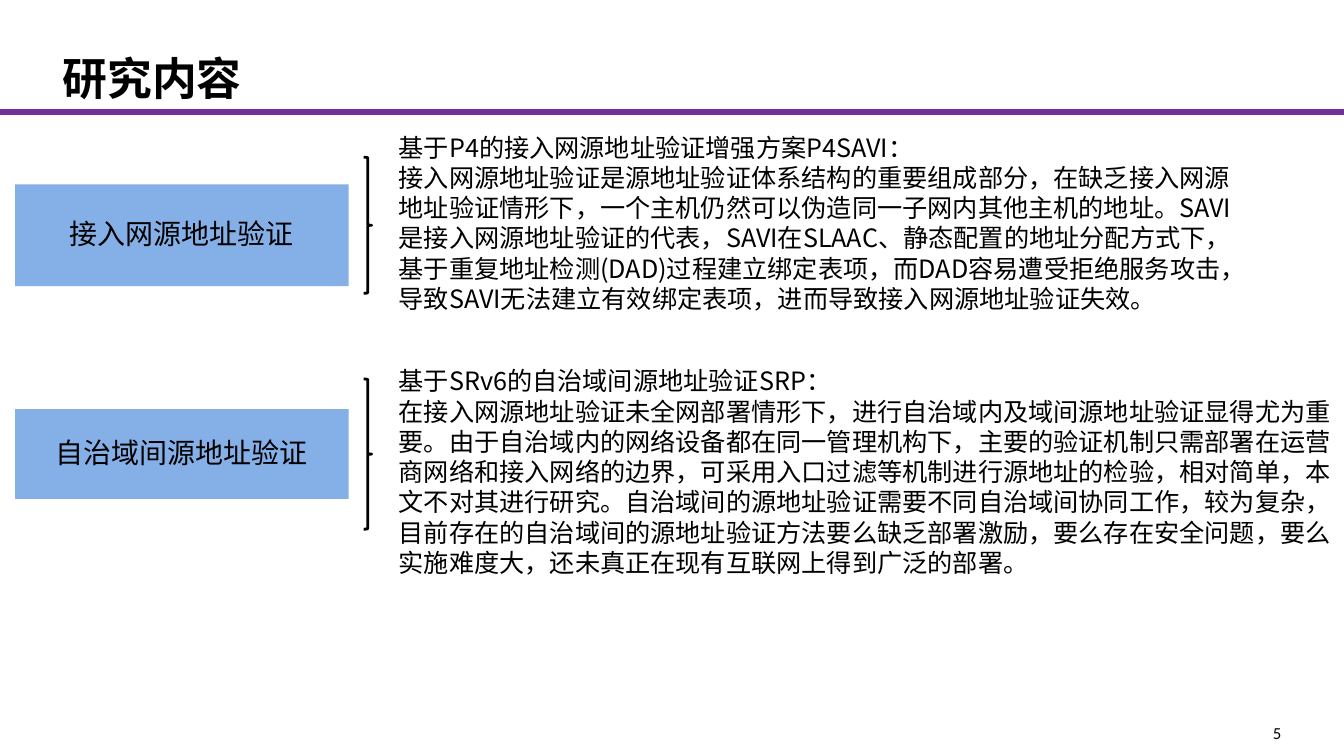
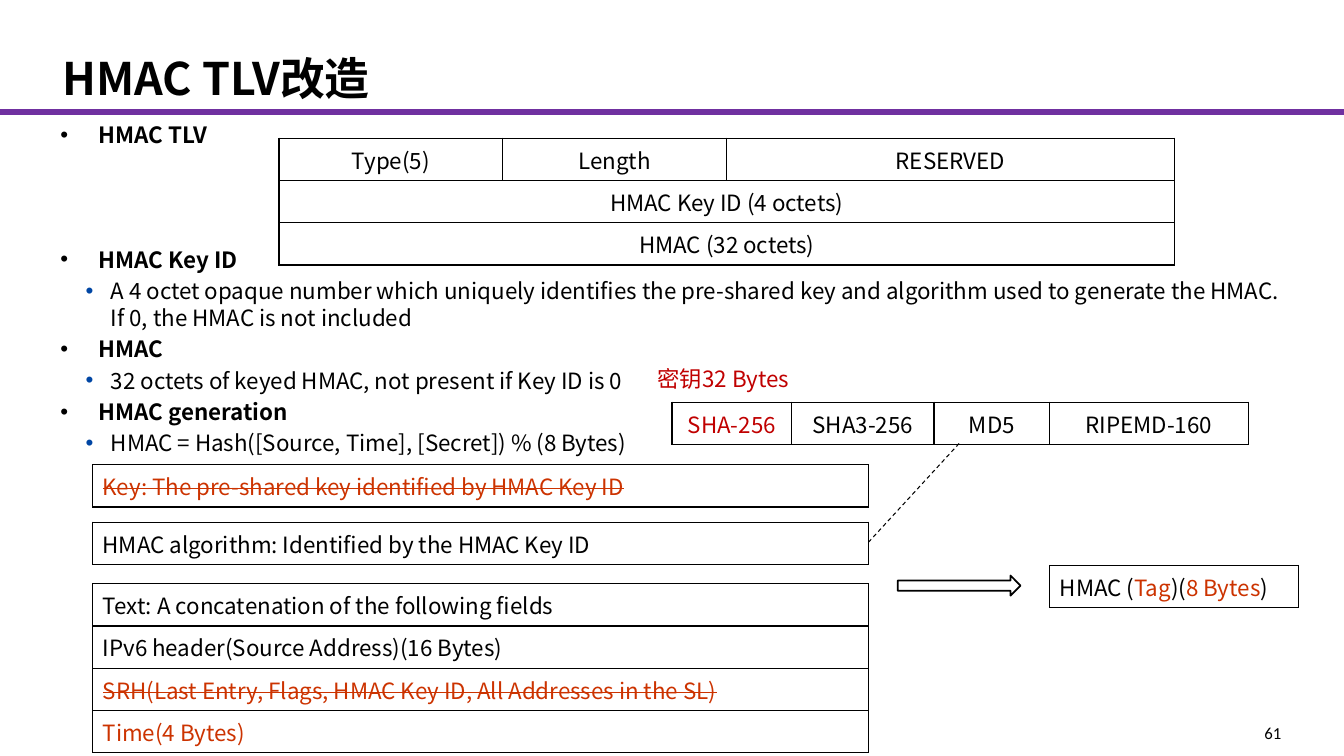
from lxml import etree
from pptx import Presentation
from pptx.dml.color import RGBColor
from pptx.enum.dml import MSO_LINE
from pptx.enum.shapes import MSO_CONNECTOR, MSO_SHAPE
from pptx.enum.text import MSO_ANCHOR as ANCHOR, PP_ALIGN as ALIGN
from pptx.oxml import parse_xml
from pptx.oxml.ns import nsdecls, qn
from pptx.util import Inches, Pt

FONT = "Noto Sans CJK SC"
BLACK, WHITE, PURPLE, BLUE = "000000", "FFFFFF", "7030A0", "85AFE7"
RED, ORANGE, BULLET_BLUE = "C00000", "CC3300", "0046A4"
ROW_H = 0.42

# label, label top and height, brace top and height, text top and width, paragraphs
TOPICS = [
    ("接入网源地址验证", (1.83, 1.01), (1.56, 1.35), (1.26, 8.5), [
        "基于P4的接入网源地址验证增强方案P4SAVI：",
        "接入网源地址验证是源地址验证体系结构的重要组成部分，在缺乏接入网源地址验证情形下，"
        "一个主机仍然可以伪造同一子网内其他主机的地址。SAVI是接入网源地址验证的代表，"
        "SAVI在SLAAC、静态配置的地址分配方式下，基于重复地址检测(DAD)过程建立绑定表项，"
        "而DAD容易遭受拒绝服务攻击，导致SAVI无法建立有效绑定表项，"
        "进而导致接入网源地址验证失效。"]),
    ("自治域间源地址验证", (4.06, 0.89), (3.76, 1.49), (3.58, 9.54), [
        "基于SRv6的自治域间源地址验证SRP：",
        "在接入网源地址验证未全网部署情形下，进行自治域内及域间源地址验证显得尤为重要。"
        "由于自治域内的网络设备都在同一管理机构下，主要的验证机制只需部署在运营商网络和接入网络的边界，"
        "可采用入口过滤等机制进行源地址的检验，相对简单，本文不对其进行研究。"
        "自治域间的源地址验证需要不同自治域间协同工作，较为复杂，"
        "目前存在的自治域间的源地址验证方法要么缺乏部署激励，要么存在安全问题，"
        "要么实施难度大，还未真正在现有互联网上得到广泛的部署。"]),
]

# level, text, points before
BULLETS = [
    (0, "HMAC TLV", 0),
    (0, "HMAC Key ID", 70),
    (1, "A 4 octet opaque number which uniquely identifies the pre-shared key and "
        "algorithm used to generate the HMAC. If 0, the HMAC is not included", 3.2),
    (0, "HMAC", 3.2),
    (1, "32 octets of keyed HMAC, not present if Key ID is 0", 3.2),
    (0, "HMAC generation", 3.2),
    (1, "HMAC = Hash([Source, Time], [Secret]) % (8 Bytes)", 3.2),
]
BULLET_STYLES = [(0.38, -0.38, BLACK), (0.5, -0.25, BULLET_BLUE)]

# left, top, column widths, alignment, rows; a cell is a list of (text, colour, struck)
# and a row with one cell spans all columns
FIELDS_W = [7.7]
TABLES = [
    (2.77, 1.37, [2.22, 2.22, 4.45], ALIGN.CENTER, [
        [[("Type(5)", BLACK, False)], [("Length", BLACK, False)], [("RESERVED", BLACK, False)]],
        [[("HMAC Key ID (4 octets)", BLACK, False)]],
        [[("HMAC (32 octets)", BLACK, False)]]]),
    (0.92, 5.79, FIELDS_W, ALIGN.LEFT, [
        [[("Text: A concatenation of the following fields", BLACK, False)]],
        [[("IPv6 header(Source Address)(16 Bytes)", BLACK, False)]],
        [[("SRH(Last Entry, Flags, HMAC Key ID, All Addresses in the SL)", ORANGE, True)]],
        [[("Time(4 Bytes)", ORANGE, False)]]]),
    (10.42, 5.61, [2.47], ALIGN.LEFT, [
        [[("HMAC (", BLACK, False), ("Tag", ORANGE, False), (")(", BLACK, False),
          ("8 Bytes", ORANGE, False), (")", BLACK, False)]]]),
    (6.67, 3.99, [1.19, 1.41, 1.15, 1.97], ALIGN.CENTER, [
        [[("SHA-256", RED, False)], [("SHA3-256", BLACK, False)],
         [("MD5", BLACK, False)], [("RIPEMD-160", BLACK, False)]]]),
    (0.92, 4.61, FIELDS_W, ALIGN.LEFT, [
        [[("Key: The pre-shared key identified by HMAC Key ID", ORANGE, True)]]]),
    (0.92, 5.18, FIELDS_W, ALIGN.LEFT, [
        [[("HMAC algorithm: Identified by the HMAC Key ID", BLACK, False)]]]),
]


def rgb(color):
    return RGBColor.from_string(color)


def box(*lengths):
    return [Inches(v) for v in lengths]


def set_font(p, size, color=BLACK, bold=False, name=FONT):
    f = p.font
    f.size, f.bold, f.name = Pt(size), bold, name
    f.color.rgb = rgb(color)
    latin = p._p.pPr.find(qn("a:defRPr")).find(qn("a:latin"))
    latin.addnext(parse_xml(f'<a:ea {nsdecls("a")} typeface="{name}"/>'))


def fill_text(tf, paragraphs, size, color=BLACK, bold=False, name=FONT, align=ALIGN.LEFT,
              anchor=ANCHOR.TOP, margins=(0.1, 0.05)):
    tf.word_wrap, tf.vertical_anchor = True, anchor
    tf.margin_left = tf.margin_right = Inches(margins[0])
    tf.margin_top = tf.margin_bottom = Inches(margins[1])
    tf.text = "\n".join(paragraphs)
    for p in tf.paragraphs:
        p.alignment = align
        set_font(p, size, color, bold, name)


def add_text(slide, at, paragraphs, size, **style):
    tf = slide.shapes.add_textbox(*box(*at)).text_frame
    fill_text(tf, paragraphs, size, **style)
    return tf


def add_shape(slide, kind, at, fill, line_width=None):
    sp = slide.shapes.add_shape(kind, *box(*at))
    sp.shadow.inherit = False
    sp.fill.solid()
    sp.fill.fore_color.rgb = rgb(fill)
    if line_width:
        sp.line.color.rgb = rgb(BLACK)
        sp.line.width = Pt(line_width)
    else:
        sp.line.fill.background()
    return sp


def add_line(slide, ends, color, width):
    """Draw a straight line and return it with its empty effect list."""
    line = slide.shapes.add_connector(MSO_CONNECTOR.STRAIGHT, *box(*ends))
    line.line.color.rgb = rgb(color)
    line.line.width = Pt(width)
    effects = etree.SubElement(line._element.spPr, qn("a:effectLst"))
    return line, effects


def add_slide(prs, title, number):
    """Add a slide with the shared title, rule and page number."""
    slide = prs.slides.add_slide(prs.slide_layouts[6])
    add_text(slide, (12.46, 7.17, 0.26, 0.15), [number], 12, name="Calibri",
             align=ALIGN.RIGHT, margins=(0, 0))
    _, effects = add_line(slide, (13.34, 1.1, 0, 1.1), PURPLE, 2.25)
    effects.append(parse_xml(
        f'<a:outerShdw {nsdecls("a")} dist="{Pt(2)}" dir="5400000" algn="ctr" rotWithShape="0">'
        f'<a:srgbClr val="{PURPLE}"/></a:outerShdw>'))
    add_text(slide, (0.62, 0.18, 12.11, 0.91), [title], 32, bold=True,
             anchor=ANCHOR.BOTTOM, margins=(0, 0.05))
    return slide


def add_bullets(slide):
    tf = add_text(slide, (0.6, 1.2, 12.11, 5.02), [t for _, t, _ in BULLETS], 16,
                  margins=(0, 0))
    for p, (level, _, before) in zip(tf.paragraphs, BULLETS):
        left, indent, color = BULLET_STYLES[level]
        p.level, p.space_before, p.font.bold = level, Pt(before), level == 0
        pPr = p._p.pPr
        pPr.set("marL", str(Inches(left)))
        pPr.set("indent", str(Inches(indent)))
        default = pPr.find(qn("a:defRPr"))
        for xml in (f'<a:buClr {nsdecls("a")}><a:srgbClr val="{color}"/></a:buClr>',
                    f'<a:buFont {nsdecls("a")} typeface="Arial"/>',
                    f'<a:buChar {nsdecls("a")} char="•"/>'):
            default.addprevious(parse_xml(xml))


def style_cell(cell):
    tcPr = cell._tc.get_or_add_tcPr()
    for side in ("lnL", "lnR", "lnT", "lnB"):
        tcPr.append(parse_xml(
            f'<a:{side} {nsdecls("a")} w="{Pt(1)}"><a:solidFill><a:srgbClr val="{BLACK}"/>'
            f'</a:solidFill></a:{side}>'))
    cell.fill.solid()
    cell.fill.fore_color.rgb = rgb(WHITE)


def add_table(slide, left, top, widths, align, rows):
    size = (sum(widths), ROW_H * len(rows))
    table = slide.shapes.add_table(len(rows), len(widths), *box(left, top, *size)).table
    table.first_row = table.horz_banding = False
    for column, width in zip(table.columns, widths):
        column.width = Inches(width)
    for i, row in enumerate(rows):
        table.rows[i].height = Inches(ROW_H)
        for cell in table.rows[i].cells:
            style_cell(cell)
        if len(row) < len(widths):
            table.cell(i, 0).merge(table.cell(i, len(widths) - 1))
        for j, runs in enumerate(row):
            p = table.cell(i, j).text_frame.paragraphs[0]
            p.alignment = align
            set_font(p, 16, runs[0][1])
            for text, color, struck in runs:
                r = p.add_run()
                r.text = text
                if color != runs[0][1]:
                    r.font.color.rgb = rgb(color)
                if struck:
                    r._r.get_or_add_rPr().set("strike", "sngStrike")


def build_research(prs):
    slide = add_slide(prs, "研究内容", "5")
    for label, (top, height), brace, (text_top, text_w), paragraphs in TOPICS:
        sp = add_shape(slide, MSO_SHAPE.RECTANGLE, (0.15, top, 3.31, height), BLUE)
        fill_text(sp.text_frame, [label], 20, align=ALIGN.CENTER, anchor=ANCHOR.MIDDLE,
                  margins=(0.13, 0.13))
        sp.text_frame.paragraphs[0].line_spacing = 0.9
        add_text(slide, (3.86, text_top, text_w, 2.2), paragraphs, 18)
        add_shape(slide, MSO_SHAPE.RIGHT_BRACE, (3.61, brace[0], 0.08, brace[1]), WHITE, 2)


def build_hmac(prs):
    slide = add_slide(prs, "HMAC TLV改造", "61")
    add_bullets(slide)
    for table in TABLES:
        add_table(slide, *table)
    add_shape(slide, MSO_SHAPE.RIGHT_ARROW, (8.91, 5.71, 1.22, 0.2), WHITE, 1.25)
    line, _ = add_line(slide, (8.62, 5.38, 9.52, 4.4), BLACK, 0.75)
    line.line.dash_style = MSO_LINE.DASH
    add_text(slide, (6.43, 3.57, 1.7, 0.37), ["密钥32 Bytes"], 16, color=RED)


def main():
    prs = Presentation()
    prs.slide_width, prs.slide_height = box(13.34, 7.5)
    build_research(prs)
    build_hmac(prs)
    prs.save("out.pptx")


if __name__ == "__main__":
    main()
